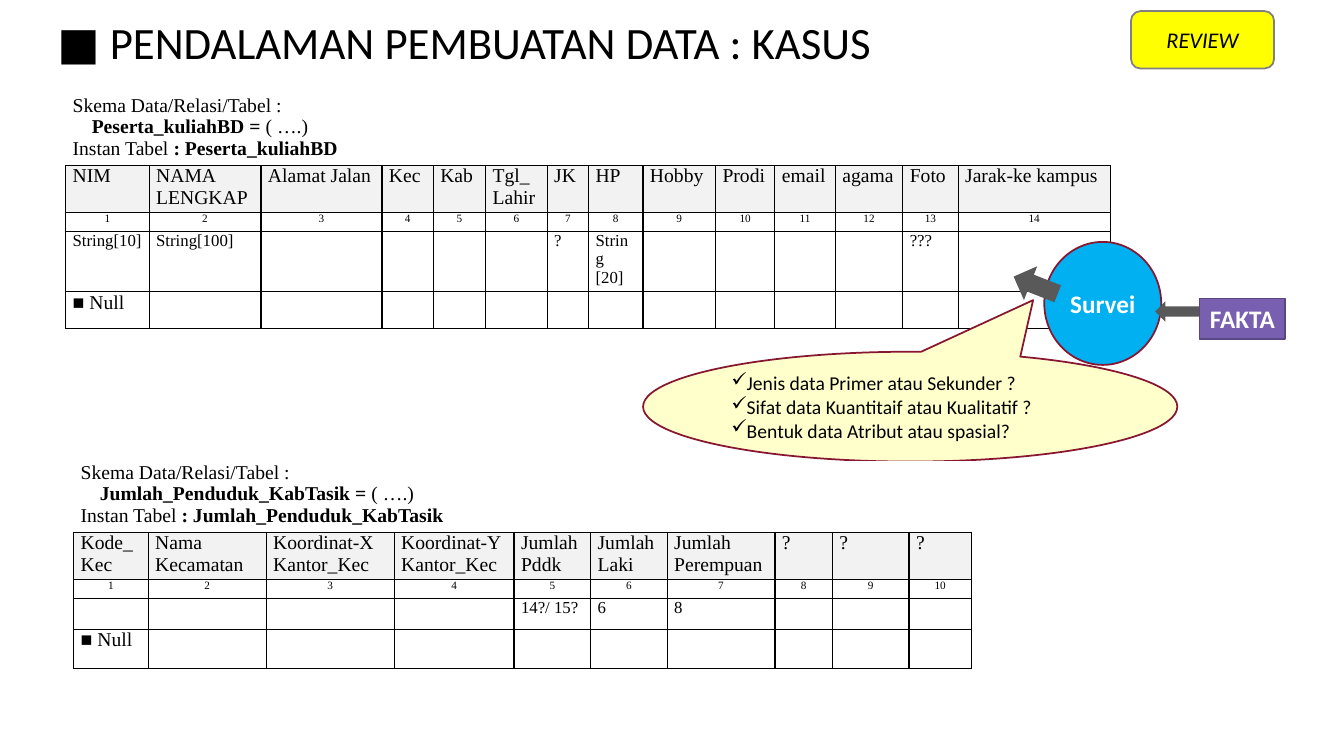
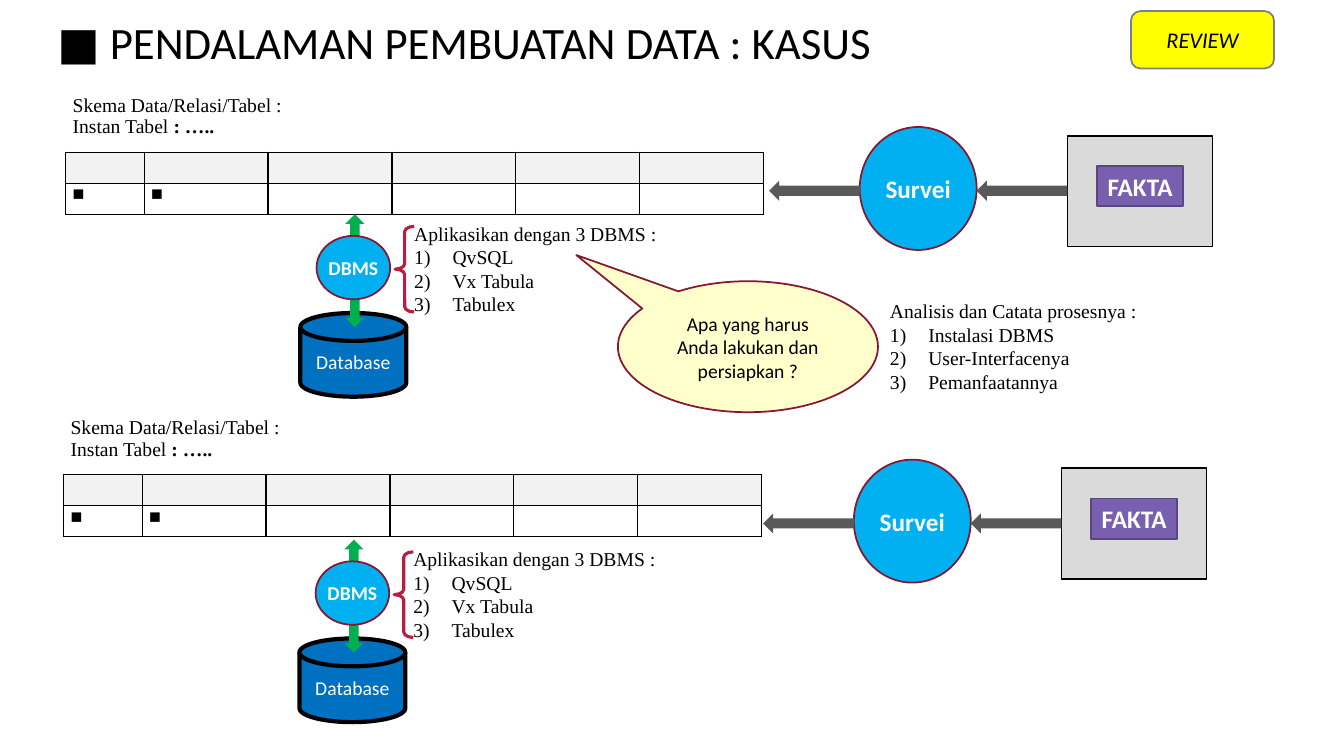
from dataclasses import dataclass

from lxml.etree import SubElement
from pptx import Presentation
from pptx.dml.color import RGBColor
from pptx.enum.shapes import MSO_SHAPE
from pptx.enum.text import MSO_ANCHOR, PP_ALIGN
from pptx.oxml.ns import qn
from pptx.util import Inches, Pt

SLIDE_WIDTH, SLIDE_HEIGHT = Inches(13.33), Inches(7.5)
COLUMN, ROW = SLIDE_WIDTH / 100, SLIDE_HEIGHT / 100

BLACK = RGBColor(0x00, 0x00, 0x00)
WHITE = RGBColor(0xFF, 0xFF, 0xFF)
HEADER_GREY = RGBColor(0xF2, 0xF2, 0xF2)
FACT_GREY = RGBColor(0xDA, 0xDA, 0xDA)
ARROW_GREY = RGBColor(0x59, 0x59, 0x59)
BADGE_LINE = RGBColor(0x80, 0x80, 0x80)
YELLOW = RGBColor(0xFF, 0xFF, 0x00)
CREAM = RGBColor(0xFF, 0xFF, 0xCC)
SKY = RGBColor(0x00, 0xB0, 0xF0)
BLUE = RGBColor(0x00, 0x70, 0xC0)
GREEN = RGBColor(0x00, 0xB0, 0x50)
MAROON = RGBColor(0x87, 0x16, 0x31)
CRIMSON = RGBColor(0xB7, 0x1E, 0x42)
PURPLE = RGBColor(0x79, 0x5F, 0xAF)
DARK_PURPLE = RGBColor(0x5A, 0x46, 0x81)

SANS, SERIF = "Calibri", "Times New Roman"
TITLE = "■ PENDALAMAN PEMBUATAN DATA : KASUS"
SCHEMA = [("Skema Data/Relasi/Tabel :", False)]
DBMS_STEPS = ["Aplikasikan dengan 3 DBMS :", "QvSQL", "Vx Tabula", "Tabulex"]
PROCESS_STEPS = ["Analisis dan Catata prosesnya :", "Instalasi DBMS",
                 "User-Interfacenya", "Pemanfaatannya"]
QUESTIONS = ["Jenis data Primer atau Sekunder ?",
             "Sifat data Kuantitaif atau Kualitatif ?",
             "Bentuk data Atribut atau spasial?"]

STUDENT_COLUMNS = [6.22, 8.32, 9, 3.82, 3.9, 4.58, 3.08, 4.05, 5.4, 4.42, 4.5,
                   5.02, 4.12, 11.32]
STUDENT_FIELDS = ["NIM", "NAMA LENGKAP", "Alamat Jalan", "Kec", "Kab", "Tgl_\nLahir",
                  "JK", "HP", "Hobby", "Prodi", "email", "agama", "Foto",
                  "Jarak-ke kampus"]
STUDENT_TYPES = {0: "String[10]", 1: "String[100]", 6: "?", 7: "String\n[20]", 12: "???"}
DISTRICT_COLUMNS = [5.55, 8.78, 9.52, 8.92, 5.7, 5.7, 8.02, 4.28, 5.7, 4.65]
DISTRICT_FIELDS = ["Kode_\nKec", "Nama Kecamatan", "Koordinat-X\nKantor_Kec",
                   "Koordinat-Y\nKantor_Kec", "Jumlah\nPddk", "Jumlah\nLaki",
                   "Jumlah\nPerempuan", "?", "?", "?"]
DISTRICT_TYPES = {4: "14?/ 15?", 5: "6", 6: "8"}
BLANK_COLUMNS = [5.85] + [9.22] * 5


@dataclass
class Box:
    """A rectangle measured in grid columns and rows."""
    left: float
    top: float
    width: float = 0
    height: float = 0

    def within(self, across, down, width=0, height=0):
        """Return a box offset from this one's corner."""
        return Box(self.left + across, self.top + down, width, height)

    def place(self):
        """Return the box as slide lengths."""
        return (int(self.left * COLUMN), int(self.top * ROW),
                int(self.width * COLUMN), int(self.height * ROW))


def style(frame, size, color=BLACK, font=SANS, bold=None, italic=None,
          align=PP_ALIGN.LEFT):
    """Format every run of a text frame."""
    for paragraph in frame.paragraphs:
        paragraph.alignment = align
        for run in paragraph.runs:
            run.font.size, run.font.name = Pt(size), font
            run.font.color.rgb = color
            if bold is not None:
                run.font.bold = bold
            run.font.italic = italic


def indent(paragraph, margin, hanging=0):
    """Set the left margin and hanging indent in inches."""
    properties = paragraph._p.get_or_add_pPr()
    properties.set("marL", str(Inches(margin)))
    properties.set("indent", str(-Inches(hanging)))
    return properties


def add_figure(slide, kind, box, fill=None, line=None, weight=1.25):
    """Add a flat preset shape."""
    figure = slide.shapes.add_shape(kind, *box.place())
    figure.shadow.inherit = False
    if fill is None:
        figure.fill.background()
    else:
        figure.fill.solid()
        figure.fill.fore_color.rgb = fill
    if line is None:
        figure.line.fill.background()
    else:
        figure.line.color.rgb = line
        figure.line.width = Pt(weight)
    return figure


def add_label(figure, text, size, color=WHITE, tight=False, **look):
    """Centre a label inside a shape."""
    frame = figure.text_frame
    frame.word_wrap = True
    frame.vertical_anchor = MSO_ANCHOR.MIDDLE
    if tight:
        frame.margin_left = frame.margin_right = 0
        frame.margin_top = frame.margin_bottom = 0
    frame.text = text
    style(frame, size, color, align=PP_ALIGN.CENTER, **look)


def add_heading(slide):
    """Add the title and the review badge."""
    heading = slide.shapes.add_textbox(*Box(3.53, 2, 92.25, 7.2).place())
    frame = heading.text_frame
    frame.word_wrap = True
    frame.vertical_anchor = MSO_ANCHOR.BOTTOM
    frame.margin_bottom = 0
    frame.text = TITLE
    frame.paragraphs[0].line_spacing = 0.9
    style(frame, 32)
    badge = add_figure(slide, MSO_SHAPE.ROUNDED_RECTANGLE,
                       Box(84.15, 1.47, 10.65, 7.6), YELLOW, BADGE_LINE)
    add_label(badge, "REVIEW", 16, BLACK, italic=True)


def add_steps(slide, box, steps):
    """Add a lead line followed by numbered steps."""
    frame = slide.shapes.add_textbox(*box.place()).text_frame
    frame.word_wrap = True
    frame.text = "\n".join(steps)
    style(frame, 14, font=SERIF)
    for paragraph in frame.paragraphs[1:]:
        SubElement(indent(paragraph, 0.38, 0.38), qn("a:buAutoNum"), type="arabicParenR")


def format_cell(cell, fill, edges):
    """Set a cell's margins, black borders and fill."""
    cell.margin_left = cell.margin_right = Inches(0.07)
    cell.margin_top = cell.margin_bottom = 0
    properties = cell._tc.get_or_add_tcPr()
    for edge in edges:
        border = SubElement(properties, qn(f"a:ln{edge}"), w=str(Pt(1)))
        SubElement(SubElement(border, qn("a:solidFill")), qn("a:srgbClr"), val=str(BLACK))
    cell.fill.solid()
    cell.fill.fore_color.rgb = fill


def add_relation(slide, box, widths, heights, caption, rows):
    """Add a relation table: caption, field row, then (texts, size, align) rows."""
    area = box.within(0, 0, sum(widths), sum(heights))
    table = slide.shapes.add_table(len(heights), len(widths), *area.place()).table
    table.first_row = table.horz_banding = False
    for column, width in zip(table.columns, widths):
        column.width = int(width * COLUMN)
    for number, (row, height) in enumerate(zip(table.rows, heights)):
        row.height = int(height * ROW)
        for cell in row.cells:
            format_cell(cell, HEADER_GREY if number == 1 else WHITE,
                        "LRTB" if number else "B")
    table.cell(0, 0).merge(table.cell(0, 5))
    frame = table.cell(0, 0).text_frame
    for number, pieces in enumerate(caption):
        paragraph = frame.add_paragraph() if number else frame.paragraphs[0]
        for text, bold in pieces:
            run = paragraph.add_run()
            run.text, run.font.bold = text, bold
    style(frame, 14, font=SERIF)
    if len(caption) == 3:
        indent(frame.paragraphs[1], 0.19)
    for number, (texts, size, align) in enumerate(rows, 1):
        for column, text in texts.items():
            frame = table.cell(number, column).text_frame
            frame.text = text
            style(frame, size, font=SERIF, bold=False, align=align)


def add_named_relation(slide, box, name, widths, heights, fields, types):
    """Add a relation with fields, field numbers, types and a null row."""
    caption = [SCHEMA, [(f"{name} =", True), (" ( ….)", False)],
               [("Instan Tabel ", False), (f": {name}", True)]]
    numbers = {column: str(column + 1) for column in range(len(fields))}
    add_relation(slide, box, widths, heights, caption, [
        (dict(enumerate(fields)), 14, PP_ALIGN.LEFT),
        (numbers, 8, PP_ALIGN.CENTER),
        (types, 12, PP_ALIGN.LEFT),
        ({0: "■ Null"}, 14, PP_ALIGN.LEFT)])


def add_blank_relation(slide, box):
    """Add a relation whose fields are still open."""
    caption = [SCHEMA, [("Instan Tabel ", False), (": …..", True)]]
    add_relation(slide, box, BLANK_COLUMNS, [7.6, 4.1, 4.1], caption,
                 [({}, 14, PP_ALIGN.LEFT), ({0: "■", 1: "■"}, 14, PP_ALIGN.LEFT)])


def add_survey(slide, box):
    """Add the survey circle at the box corner."""
    circle = add_figure(slide, MSO_SHAPE.OVAL, box.within(0, 0, 8.7, 16.27), SKY, MAROON)
    add_label(circle, "Survei", 18, tight=True, bold=True)


def add_fact(slide, box):
    """Add the fact tag at the box corner."""
    tag = add_figure(slide, MSO_SHAPE.RECTANGLE, box.within(0, 0, 6.38, 5.33),
                     PURPLE, DARK_PURPLE)
    add_label(tag, "FAKTA", 18, tight=True, bold=True)


def add_callout(slide, box, tip, lines):
    """Add an oval speech callout pointing at tip and return its text frame."""
    callout = add_figure(slide, MSO_SHAPE.OVAL_CALLOUT, box, CREAM, MAROON)
    callout.adjustments[0], callout.adjustments[1] = tip
    add_label(callout, "\n".join(lines), 14, BLACK)
    return callout.text_frame


def add_tilted_survey(slide, box):
    """Add the survey feeding a table's corner, with its fact tag."""
    add_survey(slide, box.within(2.4, 0))
    tilted = add_figure(slide, MSO_SHAPE.LEFT_ARROW, box.within(0, 3.33, 3.52, 4.8), ARROW_GREY)
    tilted.rotation = 21.3
    add_figure(slide, MSO_SHAPE.LEFT_ARROW, box.within(10.65, 7.87, 3.3, 2.67), ARROW_GREY)
    add_fact(slide, box.within(13.95, 7.47))


def add_survey_chain(slide, box):
    """Add the chain from framed fact through survey to table."""
    add_figure(slide, MSO_SHAPE.RECTANGLE, box.within(22.2, 1.15, 10.8, 14.67), FACT_GREY, BLACK)
    add_fact(slide, box.within(24.42, 5.15))
    add_survey(slide, box.within(6.75, 0))
    for across in (0, 15.45):
        add_figure(slide, MSO_SHAPE.LEFT_ARROW, box.within(across, 7.1, 6.75, 2.67), ARROW_GREY)


def add_dbms_stack(slide, box):
    """Add the database, the DBMS above it and the braced list of systems."""
    database = add_figure(slide, MSO_SHAPE.FLOWCHART_MAGNETIC_DISK,
                          box.within(0, 13.05, 7.88, 11.07), BLUE, BLACK, 3)
    add_label(database, "Database", 14)
    add_figure(slide, MSO_SHAPE.UP_DOWN_ARROW, box.within(3.34, 0, 1.42, 14.93), GREEN)
    system = add_figure(slide, MSO_SHAPE.OVAL, box.within(1.2, 2.85, 5.48, 8.4), SKY, MAROON)
    add_label(system, "DBMS", 14, tight=True, bold=True)
    brace = add_figure(slide, MSO_SHAPE.LEFT_BRACE, box.within(7.05, 1.6, 1.42, 11.33),
                       None, CRIMSON, 2.25)
    brace.adjustments[0] = 0.28
    add_steps(slide, box.within(7.73, 0.3, 19.72, 13.87), DBMS_STEPS)


def build_case_slide(slide):
    """Build the slide with the two worked relations."""
    add_heading(slide)
    add_named_relation(slide, Box(4.88, 12.53), "Peserta_kuliahBD", STUDENT_COLUMNS,
                       [8.6, 5.7, 2.5, 7.4, 4.8], STUDENT_FIELDS, STUDENT_TYPES)
    add_tilted_survey(slide, Box(75.3, 32))
    questions = add_callout(slide, Box(47.85, 46.53, 39.75, 14.53), (0.23, -0.97), QUESTIONS)
    for paragraph in questions.paragraphs:
        paragraph.alignment = PP_ALIGN.LEFT
        SubElement(indent(paragraph, 0.12, 0.12), qn("a:buChar"), char="✓")
    add_named_relation(slide, Box(5.48, 61.07), "Jumlah_Penduduk_KabTasik", DISTRICT_COLUMNS,
                       [9.2, 6.2, 2.5, 4.1, 5.2], DISTRICT_FIELDS, DISTRICT_TYPES)


def build_practice_slide(slide):
    """Build the slide with the two open exercises."""
    add_heading(slide)
    for relation, chain, stack in (
            (Box(4.88, 12.53), Box(57.22, 16.8), Box(22.35, 28.35)),
            (Box(4.73, 55.2), Box(56.78, 60.8), Box(22.28, 71.4))):
        add_blank_relation(slide, relation)
        add_survey_chain(slide, chain)
        add_dbms_stack(slide, stack)
    add_callout(slide, Box(45.98, 37.2, 19.35, 17.33), (-0.66, -0.7),
                ["Apa yang harus Anda lakukan dan persiapkan ?"])
    add_steps(slide, Box(65.48, 38.93, 26.92, 13.87), PROCESS_STEPS)


def main():
    """Build and save the presentation."""
    deck = Presentation()
    deck.slide_width, deck.slide_height = SLIDE_WIDTH, SLIDE_HEIGHT
    for build in (build_case_slide, build_practice_slide):
        build(deck.slides.add_slide(deck.slide_layouts[6]))
    deck.save("out.pptx")


if __name__ == "__main__":
    main()
